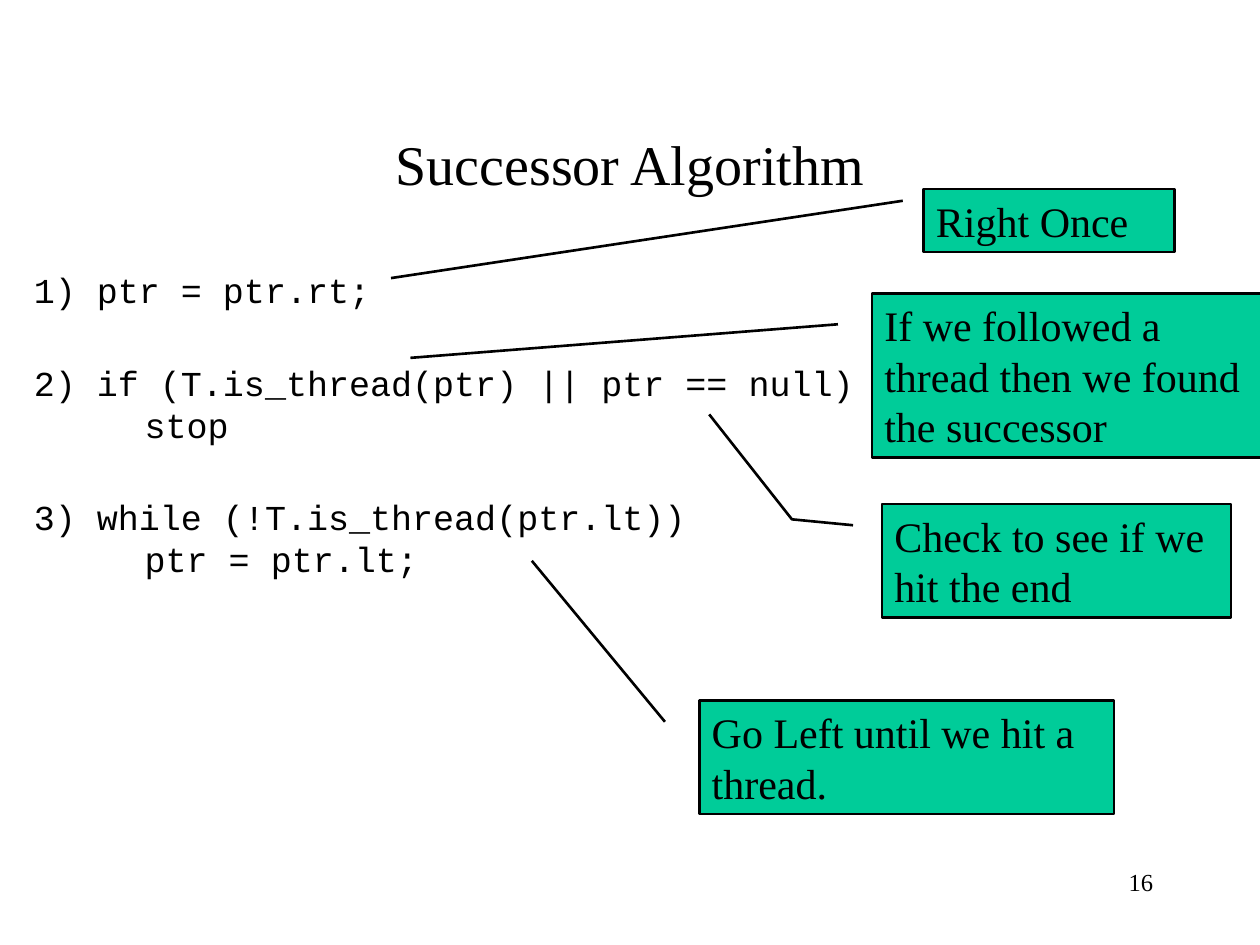
from pptx import Presentation
from pptx.dml.color import RGBColor
from pptx.enum.shapes import MSO_SHAPE as Shape
from pptx.enum.text import MSO_ANCHOR as Anchor, MSO_AUTO_SIZE as AutoSize, PP_ALIGN as Align
from pptx.util import Inches, Pt

BLACK = RGBColor(0x00, 0x00, 0x00)
GREEN = RGBColor(0x00, 0xCC, 0x99)
SERIF = "Times New Roman"
MONO = "Courier New"


def style(paragraph, font_name, size, align=Align.LEFT):
    paragraph.alignment = align
    for run in paragraph.runs:
        run.font.name = font_name
        run.font.size = Pt(size)
        run.font.color.rgb = BLACK


prs = Presentation()
prs.slide_width, prs.slide_height = Inches(10), Inches(7.5)
slide = prs.slides.add_slide(prs.slide_layouts[5])

# Title
title = slide.shapes.title
title.left, title.top = Inches(0.75), Inches(0.67)
title.width, title.height = Inches(8.5), Inches(1.25)
title.text_frame.text = "Successor Algorithm"
title.text_frame.vertical_anchor = Anchor.MIDDLE
style(title.text_frame.paragraphs[0], SERIF, 32, Align.CENTER)

# Algorithm steps, with a hanging indent
STEPS = [
    "1) ptr = ptr.rt;",
    "2) if (T.is_thread(ptr) || ptr == null)\v\tstop",
    "3) while (!T.is_thread(ptr.lt))\v\tptr = ptr.lt;",
]
steps = slide.shapes.add_textbox(Inches(0.17), Inches(2.08), Inches(6.83), Inches(4.5)).text_frame
steps.word_wrap = True
for number, code in enumerate(STEPS):
    step = steps.paragraphs[0] if number == 0 else steps.add_paragraph()
    step.text = code
    step.line_spacing = Pt(24)
    step.space_before = Pt(29 if number else 4)
    indent = step._p.get_or_add_pPr()
    indent.set("marL", str(Inches(0.38)))
    indent.set("indent", str(-Inches(0.38)))
    style(step, MONO, 20)

# Callouts: text, preset, box, then leader points as (y, x) shares of the box
LEADER_START = (0.188, -0.083)
CALLOUTS = [
    ("Right Once", Shape.LINE_CALLOUT_1, (7.33, 1.5, 1.99, 0.5), (1.415, -2.124)),
    ("If we followed a thread then we found the successor",
     Shape.LINE_CALLOUT_1, (6.92, 2.33, 3.25, 1.3), (0.393, -1.127)),
    ("Check to see if we hit the end",
     Shape.LINE_CALLOUT_2, (7, 4, 2.77, 0.9), (0.136, -0.258, -0.79, -0.495)),
    ("Go Left until we hit a thread.",
     Shape.LINE_CALLOUT_1, (5.55, 5.56, 3.29, 0.9), (-1.232, -0.404)),
]
for remark, preset, box, leader in CALLOUTS:
    callout = slide.shapes.add_shape(preset, *[Inches(length) for length in box])
    for index, share in enumerate(LEADER_START + leader):
        callout.adjustments[index] = share
    callout.shadow.inherit = False
    callout.fill.solid()
    callout.fill.fore_color.rgb = GREEN
    callout.line.color.rgb = BLACK
    callout.line.width = Pt(1.5)
    frame = callout.text_frame
    frame.text = remark
    frame.word_wrap = True
    frame.auto_size = AutoSize.SHAPE_TO_FIT_TEXT
    frame.vertical_anchor = Anchor.TOP
    style(frame.paragraphs[0], SERIF, 24)

# Slide number
page = slide.shapes.add_textbox(Inches(7.17), Inches(6.83), Inches(2.08), Inches(0.5)).text_frame
page.word_wrap = True
page.text = "16"
style(page.paragraphs[0], SERIF, 14, Align.RIGHT)

prs.save("out.pptx")
